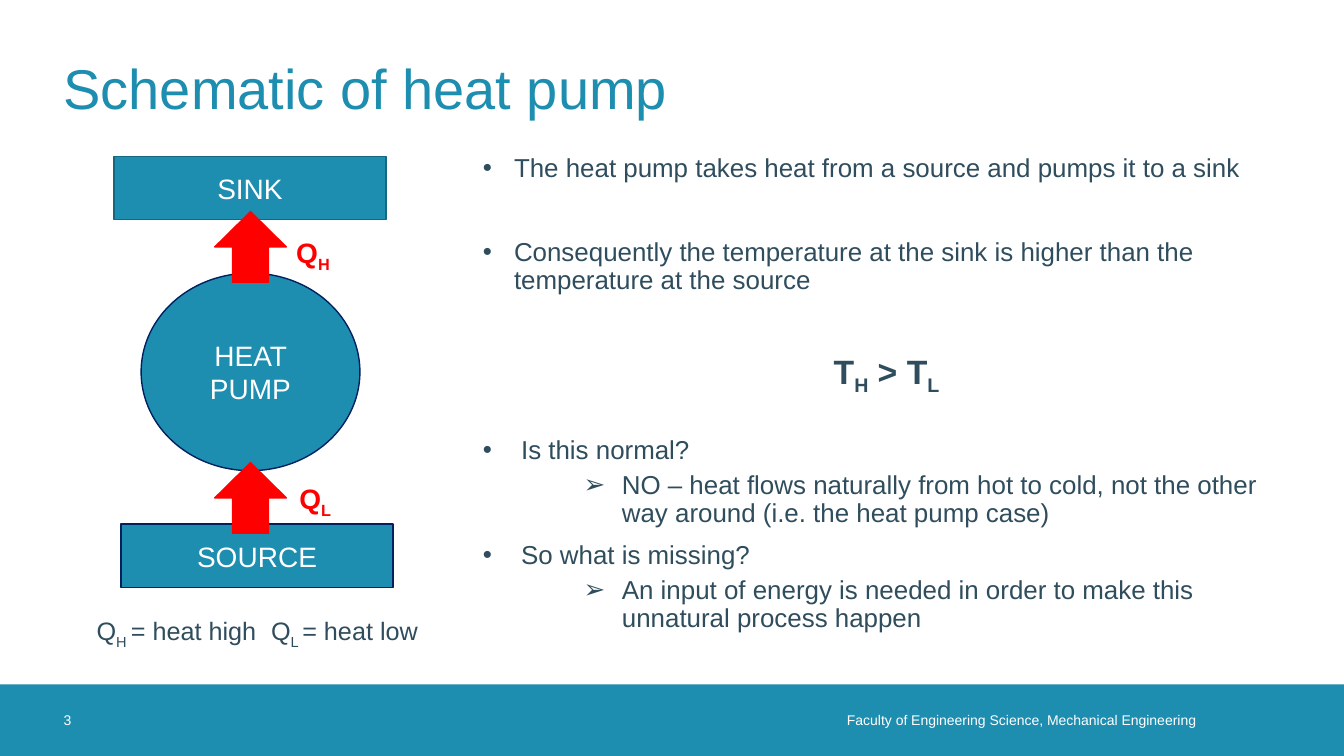
from lxml import etree
from pptx import Presentation
from pptx.dml.color import RGBColor
from pptx.enum.shapes import MSO_SHAPE
from pptx.enum.text import MSO_ANCHOR, PP_ALIGN
from pptx.oxml.ns import qn
from pptx.util import Inches, Pt

RECTANGLE = MSO_SHAPE.RECTANGLE
ELLIPSE = MSO_SHAPE.OVAL
UP_ARROW = MSO_SHAPE.UP_ARROW
TOP, MIDDLE = MSO_ANCHOR.TOP, MSO_ANCHOR.MIDDLE
LEFT, CENTER, RIGHT = PP_ALIGN.LEFT, PP_ALIGN.CENTER, PP_ALIGN.RIGHT

FONT = "Arial"
TEAL, DARK_TEAL, NAVY = "1D8DB0", "156882", "002060"
SLATE, RED, WHITE = "2F4D5D", "FF0000", "FFFFFF"
DEFAULT_INSETS = (0.1, 0.05, 0.1, 0.05)
NO_INSETS = (0, 0, 0, 0)

BODY = [
    ("The heat pump takes heat from a source and pumps it to a sink",
     dict(indent=0.31, bullet="•")),
    ("Consequently the temperature at the sink is higher than the temperature at the source",
     dict(indent=0.31, bullet="•", before=40)),
    ("T_H_ > T_L", dict(level=1, indent=3.48, before=40, size=24.1, bold=True)),
    ("Is this normal?", dict(indent=0.38, bullet="•", before=32)),
    ("NO – heat flows naturally from hot to cold, not the other way around "
     "(i.e. the heat pump case)",
     dict(level=2, indent=1.38, hanging=0.38, bullet="➢", before=5)),
    ("So what is missing?", dict(indent=0.38, bullet="•", before=10)),
    ("An input of energy is needed in order to make this unnatural process happen",
     dict(level=2, indent=1.38, hanging=0.38, bullet="➢", before=5)),
]


def color(value):
    """Turn a hex string into a colour."""
    return RGBColor.from_string(value)


def write(paragraph, text, size=18, fill=SLATE, bold=False, align=LEFT):
    """Write text into a paragraph, with every second part between underscores as subscript."""
    paragraph.alignment = align
    for number, part in enumerate(text.split("_")):
        run = paragraph.add_run()
        run.text = part
        run.font.name = FONT
        run.font.size = Pt(size)
        run.font.bold = bold
        run.font.color.rgb = color(fill)
        if number % 2:
            run.font._element.set("baseline", "-25000")


def set_frame(frame, anchor=TOP, insets=DEFAULT_INSETS):
    """Set wrapping, anchor and insets of a text frame."""
    frame.word_wrap = True
    frame.vertical_anchor = anchor
    (frame.margin_left, frame.margin_top,
     frame.margin_right, frame.margin_bottom) = map(Inches, insets)


def add_text(slide, box, text, anchor=TOP, insets=DEFAULT_INSETS, tab=None, **style):
    """Add a text box with one paragraph and an optional tab stop."""
    frame = slide.shapes.add_textbox(*map(Inches, box)).text_frame
    set_frame(frame, anchor, insets)
    paragraph = frame.paragraphs[0]
    if tab:
        tabs = etree.SubElement(paragraph._p.get_or_add_pPr(), qn("a:tabLst"))
        etree.SubElement(tabs, qn("a:tab"), pos=str(Inches(tab)), algn="l")
    write(paragraph, text, **style)


def add_block(slide, kind, box, fill, line=None, text=None):
    """Add a filled shape with an optional outline and centred label."""
    shape = slide.shapes.add_shape(kind, *map(Inches, box))
    shape.shadow.inherit = False
    shape.fill.solid()
    shape.fill.fore_color.rgb = color(fill)
    if line:
        shape.line.color.rgb = color(line)
        shape.line.width = Pt(1)
    else:
        shape.line.fill.background()
    if text:
        set_frame(shape.text_frame, MIDDLE)
        write(shape.text_frame.paragraphs[0], text, size=20, fill=WHITE, align=CENTER)


def format_item(paragraph, indent, hanging=None, bullet=None, level=0, before=0):
    """Set bullet, indents, level and spacing of a list paragraph."""
    properties = paragraph._p.get_or_add_pPr()
    properties.set("marL", str(Inches(indent)))
    if bullet:
        properties.set("indent", str(-Inches(hanging or indent)))
        etree.SubElement(properties, qn("a:buFont"), typeface=FONT)
        etree.SubElement(properties, qn("a:buChar"), char=bullet)
    paragraph.level = level
    paragraph.line_spacing = 0.9
    paragraph.space_before = Pt(before)


def add_list(slide, box, items):
    """Add a text box holding the bulleted explanation."""
    frame = slide.shapes.add_textbox(*map(Inches, box)).text_frame
    set_frame(frame)
    for number, (text, layout) in enumerate(items):
        paragraph = frame.add_paragraph() if number else frame.paragraphs[0]
        layout = dict(layout)
        size, bold = layout.pop("size", 18.5), layout.pop("bold", False)
        format_item(paragraph, **layout)
        write(paragraph, text, size=size, bold=bold)


def add_schematic(slide):
    """Draw sink, pump and source with the two heat flows."""
    add_block(slide, ELLIPSE, (1.4, 2.71, 2.17, 1.96), TEAL, NAVY, "HEAT PUMP")
    add_block(slide, RECTANGLE, (1.13, 1.55, 2.7, 0.63), TEAL, DARK_TEAL, "SINK")
    add_block(slide, RECTANGLE, (1.2, 5.2, 2.7, 0.63), TEAL, NAVY, "SOURCE")
    for arrow_top, label_left, label_top, label in (
            (2.1, 2.84, 2.29, "Q_H"), (4.59, 2.87, 4.73, "Q_L")):
        add_block(slide, UP_ARROW, (2.13, arrow_top, 0.71, 0.7), RED, RED)
        add_text(slide, (label_left, label_top, 0.9, 0.44), label,
                 size=20, fill=RED, bold=True)
    add_text(slide, (0.86, 6.06, 3.49, 0.4), "Q_H _= heat high\tQ_L _= heat low", tab=1.73)


def main():
    """Build the heat pump slide and save it."""
    presentation = Presentation()
    presentation.slide_width, presentation.slide_height = Inches(13.33), Inches(7.5)
    slide = presentation.slides.add_slide(presentation.slide_layouts[6])
    add_block(slide, RECTANGLE, (0, 6.79, 13.33, 0.71), TEAL)
    add_text(slide, (0.63, 0.23, 12.07, 1.26), "Schematic of heat pump",
             anchor=MIDDLE, insets=NO_INSETS, size=40, fill=TEAL)
    add_list(slide, (4.69, 1.49, 8.04, 4.98), BODY)
    add_schematic(slide)
    add_text(slide, (0.63, 6.79, 0.71, 0.71), "3",
             anchor=MIDDLE, insets=NO_INSETS, size=10, fill=WHITE)
    add_text(slide, (6.6, 6.79, 5.46, 0.71),
             "Faculty of Engineering Science, Mechanical Engineering",
             anchor=MIDDLE, insets=(0, 0, 0.2, 0), size=10, fill=WHITE, align=RIGHT)
    presentation.save("out.pptx")


if __name__ == "__main__":
    main()
